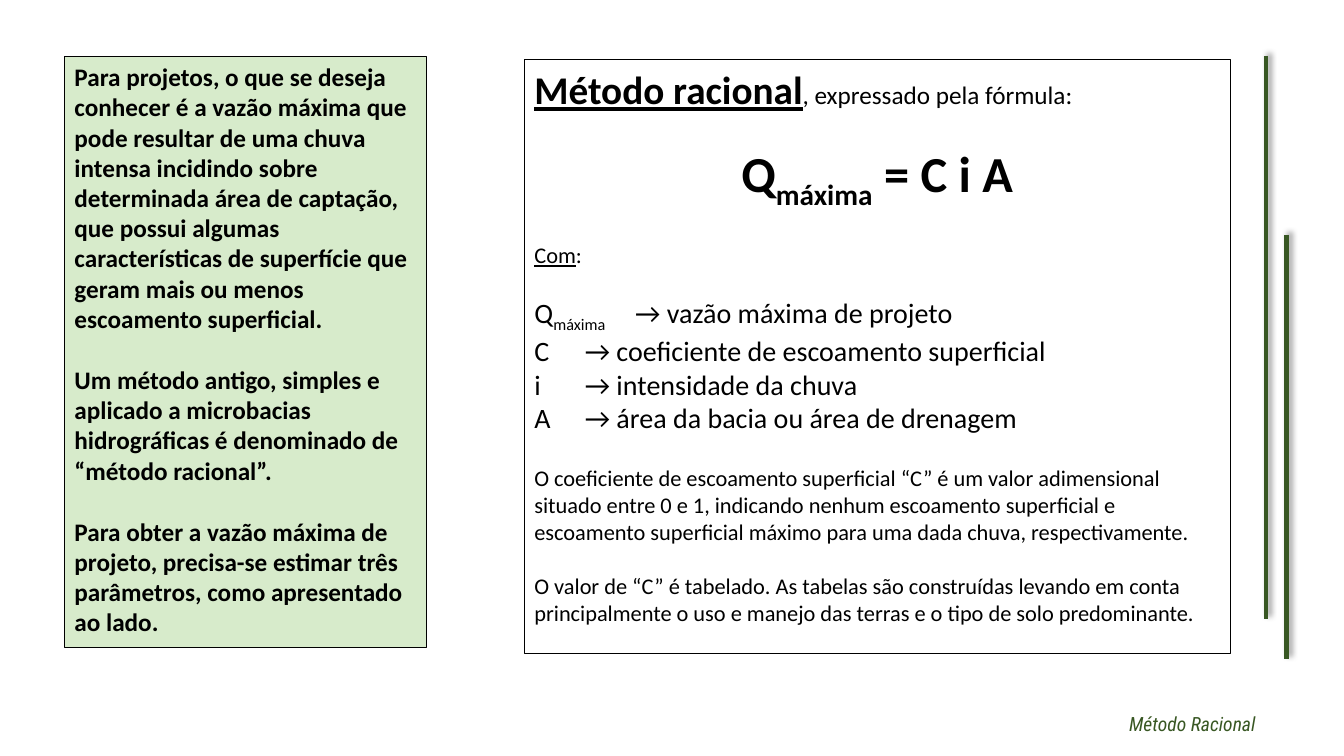
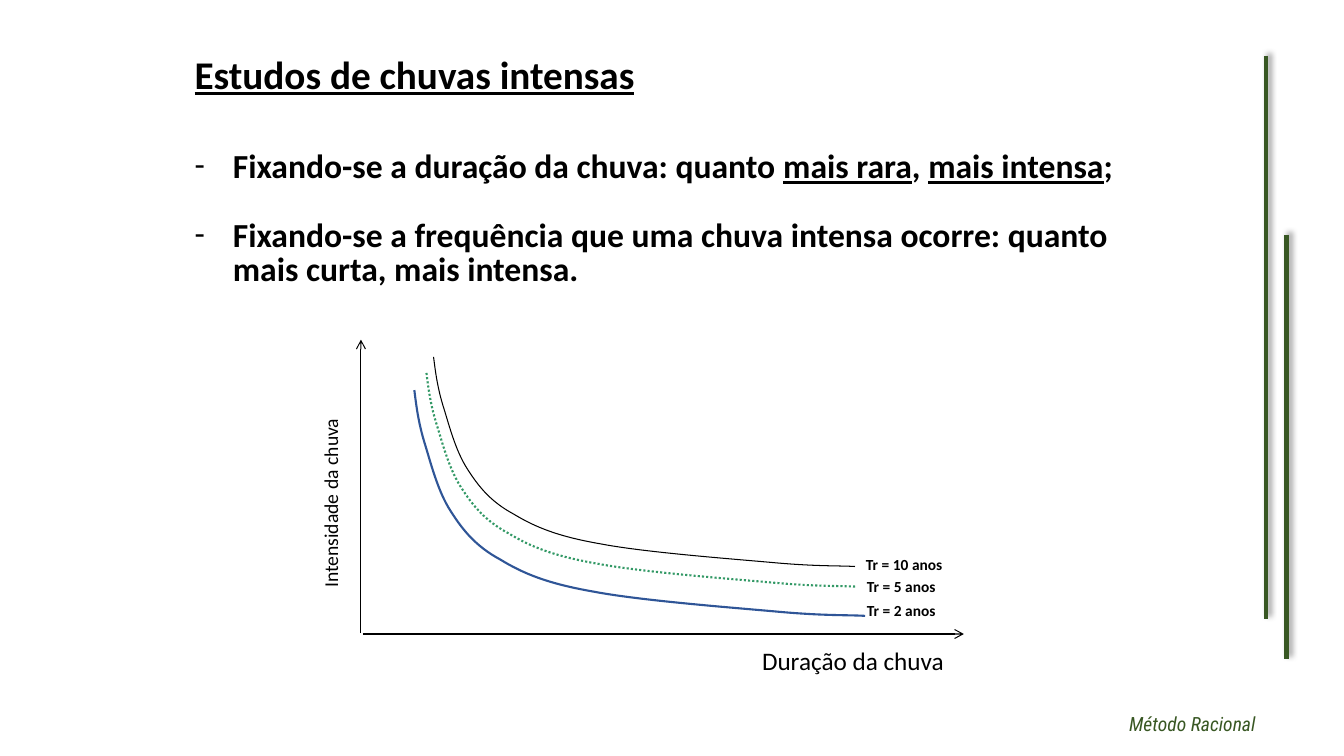
import dataclasses

import pptx
import pptx.dml.color
import pptx.enum.dml
import pptx.enum.shapes
import pptx.enum.text
import pptx.oxml
import pptx.oxml.ns
import pptx.util

Inches = pptx.util.Inches
Pt = pptx.util.Pt
ANCHOR = pptx.enum.text.MSO_ANCHOR
ALIGN = pptx.enum.text.PP_ALIGN
NS = pptx.oxml.ns.nsdecls("a")
qn = pptx.oxml.ns.qn


@dataclasses.dataclass(frozen=True)
class Theme:
    font: str = "Calibri"
    footer_font: str = "Roboto Condensed"
    ink: str = "000000"
    green: str = "385723"
    panel: str = "D7EBCB"
    curve_green: str = "339966"
    curve_blue: str = "2F5597"
    title: int = 28
    formula: int = 36
    bullet: int = 24
    term: int = 20
    text: int = 18
    note: int = 16
    small: int = 14
    label: int = 11
    thin: float = 0.75
    medium: float = 1.5
    thick: float = 3


T = Theme()
FOOTER = "Método Racional"
BARS = [(12.56, 0.56, 6.14), (12.76, 2.33, 6.54)]
UNDER = {"underline": True}
SUB = {"sub": True}

PANEL = [
    "Para projetos, o que se deseja conhecer é a vazão máxima que pode resultar de uma chuva "
    "intensa incidindo sobre determinada área de captação, que possui algumas características "
    "de superfície que geram mais ou menos escoamento superficial.",
    "Um método antigo, simples e aplicado a microbacias hidrográficas é denominado de "
    "“método racional”.",
    "Para obter a vazão máxima de projeto, precisa-se estimar três parâmetros, como "
    "apresentado ao lado.",
]
METHOD_TITLE = [
    ("Método racional", {"size": T.title, "bold": True, "underline": True}),
    (", expressado pela fórmula:", {}),
]
METHOD = [
    ([("Q", {}), ("máxima", SUB), (" = C i A", {})],
     {"size": T.formula, "bold": True, "align": ALIGN.CENTER, "after": 21.5}),
    ([("Com", UNDER), (":", {})], {"size": T.note, "after": 19.5}),
    ([("Q", {}), ("máxima \t", SUB), ("→ vazão máxima de projeto", {})], {"size": T.term}),
    ("C\t→ coeficiente de escoamento superficial", {"size": T.term}),
    ("i\t→ intensidade da chuva", {"size": T.term}),
    ("A\t→ área da bacia ou área de drenagem", {"size": T.term, "after": 21.5}),
    ("O coeficiente de escoamento superficial “C” é um valor adimensional situado entre 0 e 1, "
     "indicando nenhum escoamento superficial e escoamento superficial máximo para uma dada "
     "chuva, respectivamente.", {"size": T.note, "after": 19.5}),
    ("O valor de “C” é tabelado. As tabelas são construídas levando em conta principalmente o "
     "uso e manejo das terras e o tipo de solo predominante.", {"size": T.note}),
]

RAIN_TITLE = "Estudos de chuvas intensas"
RAIN = [
    ([("Fixando-se a duração da chuva: quanto ", {}), ("mais rara", UNDER), (", ", {}),
      ("mais intensa", UNDER), (";", {})], {"after": 24.5}),
    ("Fixando-se a frequência que uma chuva intensa ocorre: quanto mais curta, mais intensa.",
     {"spacing": Pt(24.5)}),
]
AXES = [((3.58, 6.28), (3.58, 3.37)), ((3.6, 6.29), (9.56, 6.29))]
CURVES = [
    ("Tr = 10 anos", (4.3, 3.54, 4.18, 2.08), (8.49, 5.46), T.ink, T.thin, False),
    ("Tr = 5 anos", (4.23, 3.7, 4.27, 2.12), (8.5, 5.68), T.curve_green, T.medium, True),
    ("Tr = 2 anos", (4.11, 3.87, 4.47, 2.24), (8.5, 5.91), T.curve_blue, T.medium, False),
]
DECAY = [
    (0, 0), (0.02, 0.16), (0.04, 0.32), (0.1, 0.52), (0.16, 0.71), (0.23, 1), (0.36, 1.2),
    (0.48, 1.39), (0.61, 1.55), (0.85, 1.68), (1.08, 1.82), (1.32, 1.92), (1.78, 2),
    (2.25, 2.09), (3.18, 2.16), (3.62, 2.2), (4.07, 2.24), (4.31, 2.23), (4.47, 2.24),
]


def rgb(color):
    return pptx.dml.color.RGBColor.from_string(color)


def set_line(sp, color, width):
    sp.line.color.rgb = rgb(color)
    sp.line.width = Pt(width)


def write(p, runs, size=T.text, font=T.font, color=T.ink, bold=False, italic=False,
          underline=False, align=ALIGN.LEFT, after=0, spacing=1.0):
    p.alignment = align
    p.space_before, p.space_after = Pt(0), Pt(after)
    p.line_spacing = spacing
    for text, own in [(runs, {})] if isinstance(runs, str) else runs:
        r = p.add_run()
        r.text = text
        r.font.name = font
        r.font.size = Pt(own.get("size", size))
        r.font.bold = own.get("bold", bold)
        r.font.italic = italic
        r.font.underline = own.get("underline", underline)
        r.font.color.rgb = rgb(color)
        if own.get("sub"):
            r.font._element.set("baseline", "-25000")


def fill_text(sp, paragraphs, top=0.05, **fmt):
    tf = sp.text_frame
    tf.word_wrap = True
    tf.auto_size = pptx.enum.text.MSO_AUTO_SIZE.NONE
    tf.vertical_anchor = ANCHOR.TOP
    tf.margin_top = Inches(top)
    for i, (runs, own) in enumerate(paragraphs):
        p = tf.add_paragraph() if i else tf.paragraphs[0]
        write(p, runs, **{**fmt, **own})


def place(sp, *box):
    sp.left, sp.top, sp.width, sp.height = map(Inches, box)
    return sp


def add_label(s, text, *box, **fmt):
    sp = s.shapes.add_textbox(*map(Inches, box))
    fill_text(sp, [(text, fmt)])
    return sp


def set_marks(sp, indent, *marks):
    for p in sp.text_frame.paragraphs:
        pPr = p._p.get_or_add_pPr()
        pPr.set("marL", str(Inches(indent)))
        pPr.set("indent", str(-Inches(indent)))
        for mark in marks:
            pPr.append(pptx.oxml.parse_xml(mark))


def add_line(s, start, end, color, width, effect="", arrow=False):
    cx = s.shapes.add_connector(pptx.enum.shapes.MSO_CONNECTOR.STRAIGHT,
                                *map(Inches, start + end))
    set_line(cx, color, width)
    if arrow:
        cx.line._get_or_add_ln().append(
            pptx.oxml.parse_xml('<a:tailEnd %s type="arrow"/>' % NS))
    cx._element.spPr.append(
        pptx.oxml.parse_xml("<a:effectLst %s>%s</a:effectLst>" % (NS, effect)))


def add_slide(prs):
    s = prs.slides.add_slide(prs.slide_layouts[1])
    shadow = ('<a:outerShdw blurRad="50800" dist="38100" dir="18900000" algn="bl" '
              'rotWithShape="0"><a:srgbClr val="%s"><a:alpha val="40000"/></a:srgbClr>'
              '</a:outerShdw>' % T.ink)
    for x, top, bottom in BARS:
        add_line(s, (x, top), (x, bottom), T.green, T.thick, shadow)
    add_label(s, FOOTER, 11.1, 7.01, 1.66, 0.34, size=T.small, font=T.footer_font,
              color=T.green, italic=True)
    return s


def bend_segments(sp):
    segments = list(sp._element.iter(qn("a:lnTo")))
    for i in range(0, len(segments), 3):
        bend = pptx.oxml.parse_xml("<a:cubicBezTo %s/>" % NS)
        segments[i].addprevious(bend)
        for segment in segments[i:i + 3]:
            bend.append(segment[0])
            segment.getparent().remove(segment)


def add_curve(s, box, color, width, dotted):
    x, y, w, h = box
    full_w, full_h = DECAY[-1]
    pts = [(Inches(x + px * w / full_w), Inches(y + py * h / full_h)) for px, py in DECAY]
    builder = s.shapes.build_freeform(*pts[0])
    builder.add_line_segments(pts[1:], close=False)
    sp = builder.convert_to_shape()
    bend_segments(sp)
    sp.shadow.inherit = False
    sp.fill.background()
    set_line(sp, color, width)
    if dotted:
        sp.line.dash_style = pptx.enum.dml.MSO_LINE.ROUND_DOT


def build_method(prs):
    s = add_slide(prs)
    title = place(s.shapes.title, 5.2, 0.6, 7, 0.6)
    fill_text(title, [(METHOD_TITLE, {})])
    body = place(s.placeholders[1], 5.2, 0.59, 7, 5.89)
    fill_text(body, METHOD, top=0.82)
    set_marks(body, 0, "<a:buNone %s/>" % NS,
              '<a:tabLst %s><a:tab pos="%d" algn="l"/></a:tabLst>' % (NS, Inches(1)))
    set_line(body, T.ink, T.thin)
    panel = s.shapes.add_shape(pptx.enum.shapes.MSO_SHAPE.RECTANGLE,
                               *map(Inches, (0.64, 0.56, 3.59, 5.86)))
    panel.shadow.inherit = False
    panel.fill.solid()
    panel.fill.fore_color.rgb = rgb(T.panel)
    set_line(panel, T.ink, T.thin)
    fill_text(panel, [(text, {}) for text in PANEL], bold=True, after=22)


def build_rain(prs):
    s = add_slide(prs)
    title = place(s.shapes.title, 1.83, 0.45, 9.75, 0.6)
    fill_text(title, [(RAIN_TITLE, UNDER)], size=T.title, bold=True)
    body = place(s.placeholders[1], 1.83, 1.39, 9.75, 2)
    fill_text(body, RAIN, size=T.bullet, bold=True)
    set_marks(body, 0.38, '<a:buFont %s typeface="Calibri"/>' % NS,
              '<a:buChar %s char="-"/>' % NS)
    for start, end in AXES:
        add_line(s, start, end, T.ink, T.thin, arrow=True)
    add_label(s, "Intensidade da chuva", 1.88, 3.87, 3.29, 0.83, size=T.small).rotation = 270
    add_label(s, "Duração da chuva", 7.46, 6.35, 2.1, 0.66)
    for name, box, spot, color, width, dotted in CURVES:
        add_curve(s, box, color, width, dotted)
        add_label(s, name, *spot, 1.73, 0.39, size=T.label, bold=True)


def main():
    prs = pptx.Presentation()
    prs.slide_width, prs.slide_height = Inches(13.33), Inches(7.5)
    build_method(prs)
    build_rain(prs)
    prs.save("out.pptx")


if __name__ == "__main__":
    main()
